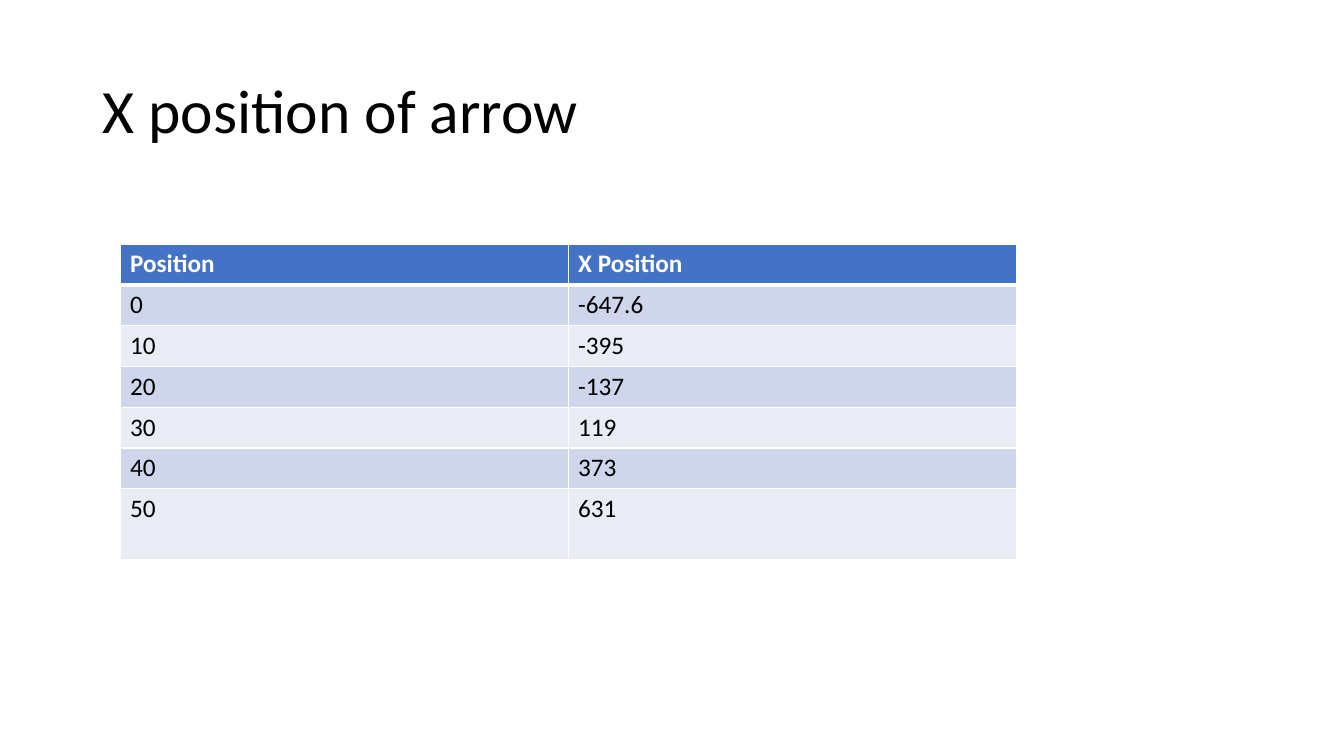
"""Build a slide with a table of arrow positions."""
import pptx
import pptx.util
import pptx.dml.color
import pptx.enum.text
import pptx.oxml.ns
import lxml.etree

theme = {
    "font": "Calibri", "title": 44, "body": 18,
    "ink": "000000", "white": "FFFFFF", "head": "4472C4",
    "bands": ["CFD5EA", "E9EBF5"], "rule": 1, "thick": 3,
}
inch = pptx.util.Inches
tint = pptx.dml.color.RGBColor.from_string


def write(para, text, size, color, bold=False):
    run = para.add_run()
    run.text = text
    run.font.name = theme["font"]
    run.font.size = pptx.util.Pt(size)
    run.font.bold = bold
    run.font.color.rgb = tint(color)


def edge(cell, side, width):
    name = pptx.oxml.ns.qn
    line = lxml.etree.SubElement(
        cell._tc.get_or_add_tcPr(), name("a:ln" + side), w=str(pptx.util.Pt(width)))
    fill = lxml.etree.SubElement(line, name("a:solidFill"))
    lxml.etree.SubElement(fill, name("a:srgbClr"), val=theme["white"])


deck = pptx.Presentation()
deck.slide_width = inch(13.33)
deck.slide_height = inch(7.5)
slide = deck.slides.add_slide(deck.slide_layouts[6])

title = slide.shapes.add_textbox(inch(0.92), inch(0.4), inch(11.5), inch(1.45))
frame = title.text_frame
frame.word_wrap = True
frame.vertical_anchor = pptx.enum.text.MSO_ANCHOR.MIDDLE
frame.paragraphs[0].line_spacing = 0.9
write(frame.paragraphs[0], "X position of arrow", theme["title"], theme["ink"])

data = [
    ("Position", "X Position"),
    ("0", "-647.6"), ("10", "-395"), ("20", "-137"),
    ("30", "119"), ("40", "373"), ("50", "631"),
]
high, last = 0.405, 0.7
total = high * (len(data) - 1) + last
table = slide.shapes.add_table(
    len(data), 2, inch(1.19), inch(2.42), inch(8.89), inch(total)).table

for r, row in enumerate(data):
    table.rows[r].height = inch(last if r == len(data) - 1 else high)
    head = r == 0
    for c, text in enumerate(row):
        cell = table.cell(r, c)
        for side in "LRTB":
            thick = (head and side == "B") or (r == 1 and side == "T")
            edge(cell, side, theme["thick" if thick else "rule"])
        cell.fill.solid()
        cell.fill.fore_color.rgb = tint(
            theme["head"] if head else theme["bands"][(r - 1) % 2])
        write(cell.text_frame.paragraphs[0], text, theme["body"],
              theme["white" if head else "ink"], head)

deck.save("out.pptx")
